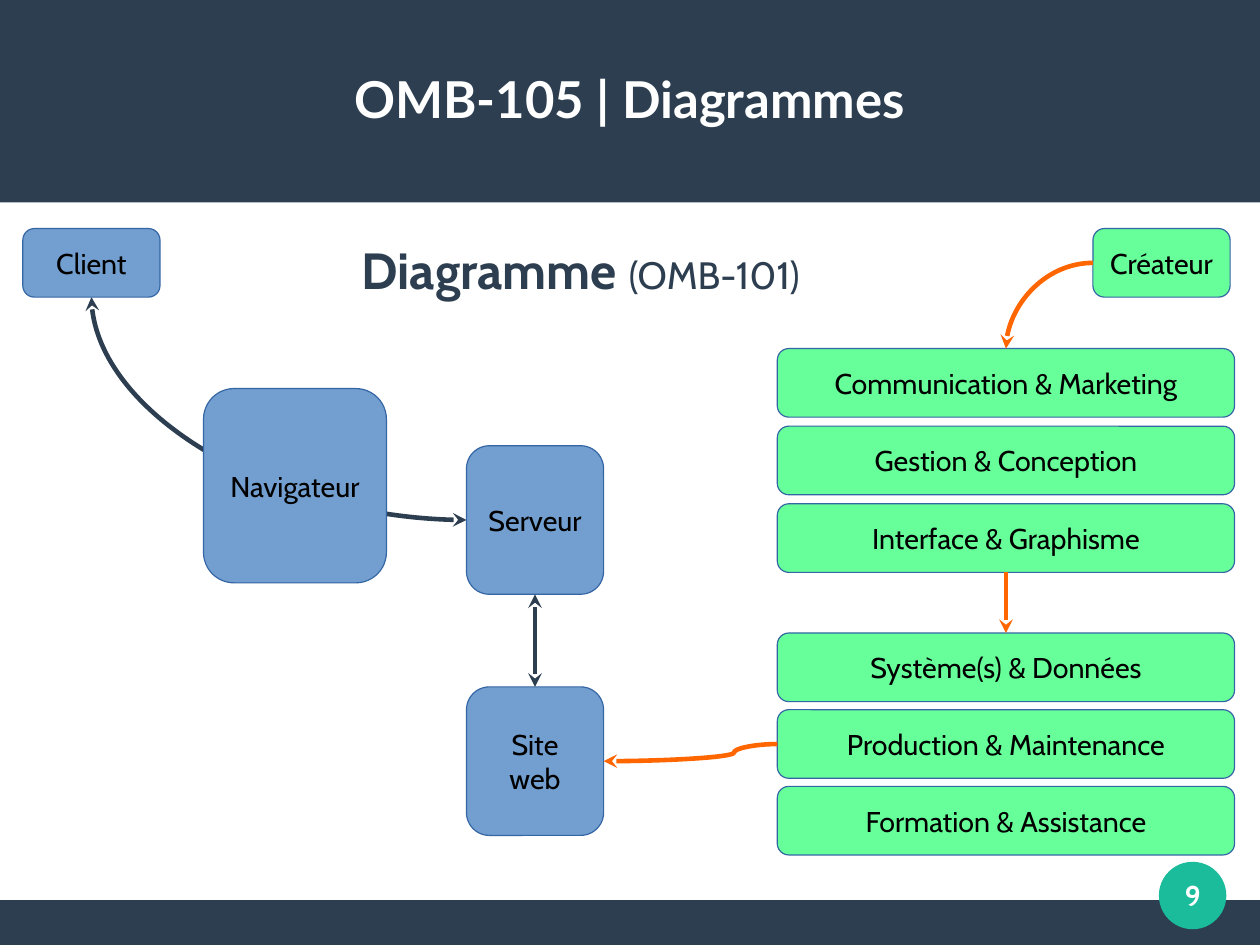
import pptx
import pptx.util
import pptx.dml.color
import pptx.enum.shapes
import pptx.enum.text
import pptx.oxml

Pt = pptx.util.Pt
SHAPES = pptx.enum.shapes.MSO_SHAPE
LINES = pptx.enum.shapes.MSO_CONNECTOR
ALIGN = pptx.enum.text.PP_ALIGN
ANCHOR = pptx.enum.text.MSO_ANCHOR

WIDTH, HEIGHT = 793.6, 595.3
NAVY, TEAL, WHITE, BLACK = "2C3E50", "1ABC9C", "FFFFFF", "000000"
BLUE, GREEN, ORANGE, OUTLINE = "729FCF", "66FF99", "FF6600", "3465A4"

TITLE = "OMB-105 | Diagrammes"
HEADING = [("Diagramme ", 32, True), ("(OMB-101)", 24, False)]
PAGE_NUMBER = "9"

SMALL = (86.4, 43.2)
TALL = (86.4, 93.6)
SERVER_LEFT = 293.8
NODES = [
    (["Client"], 14.4, 144, SMALL, BLUE),
    (["Serveur"], SERVER_LEFT, 280.8, TALL, BLUE),
    (["Navigateur"], 128.2, 244.8, (115.2, 122.4), BLUE),
    (["Site", "web"], SERVER_LEFT, 432.7, TALL, BLUE),
    (["Créateur"], 688.4, 144, SMALL, GREEN),
]
STACK_LEFT, STACK_SIZE = 489.6, (288, 43.2)
STACKS = [
    (219.6, 48.9, ["Communication & Marketing", "Gestion & Conception", "Interface & Graphisme"]),
    (398.8, 48.3, ["Système(s) & Données", "Production & Maintenance", "Formation & Assistance"]),
]

deck = pptx.Presentation()
deck.slide_width, deck.slide_height = Pt(WIDTH), Pt(HEIGHT)
page = deck.slides.add_slide(deck.slide_layouts[6])


def colour(value):
    return pptx.dml.color.RGBColor.from_string(value)


def add_span(para, text, size, ink, bold=False, font="Cabin"):
    span = para.add_run()
    span.text = text
    span.font.name, span.font.size, span.font.bold = font, Pt(size), bold
    span.font.color.rgb = colour(ink)


def add_shape(kind, left, top, width, height, fill, outline=None):
    shape = page.shapes.add_shape(kind, Pt(left), Pt(top), Pt(width), Pt(height))
    shape.shadow.inherit = False
    shape.fill.solid()
    shape.fill.fore_color.rgb = colour(fill)
    if outline:
        shape.line.color.rgb = colour(outline)
        shape.line.width = Pt(0)
    else:
        shape.line.fill.background()
    return shape


def add_text_box(left, top, width, height, spans, ink, font="Cabin", centred=True):
    box = page.shapes.add_textbox(Pt(left), Pt(top), Pt(width), Pt(height))
    frame = box.text_frame
    frame.word_wrap = True
    frame.margin_left = frame.margin_right = frame.margin_top = frame.margin_bottom = 0
    frame.vertical_anchor = ANCHOR.MIDDLE if centred else ANCHOR.TOP
    para = frame.paragraphs[0]
    para.alignment = ALIGN.CENTER if centred else ALIGN.LEFT
    for text, size, bold in spans:
        add_span(para, text, size, ink, bold, font)


def add_node(lines, left, top, size, fill):
    box = add_shape(SHAPES.ROUNDED_RECTANGLE, left, top, *size, fill, OUTLINE)
    box.adjustments[0] = 0.167
    frame = box.text_frame
    frame.word_wrap = False
    frame.vertical_anchor = ANCHOR.MIDDLE
    for index, text in enumerate(lines):
        para = frame.add_paragraph() if index else frame.paragraphs[0]
        para.alignment = ALIGN.CENTER
        add_span(para, text, 18, BLACK)
    return box


def add_arrow(kind, start, end, ink, both=False):
    arrow = page.shapes.add_connector(kind, *map(Pt, start + end))
    arrow.line.color.rgb = colour(ink)
    arrow.line.width = Pt(2.89)
    line = arrow.line._get_or_add_ln()
    for tag in ["headEnd", "tailEnd"] if both else ["tailEnd"]:
        line.append(pptx.oxml.parse_xml(
            f'<a:{tag} xmlns:a="http://schemas.openxmlformats.org/drawingml/2006/main" type="stealth"/>'))
    arrow._element.spPr.append(pptx.oxml.parse_xml(
        '<a:effectLst xmlns:a="http://schemas.openxmlformats.org/drawingml/2006/main"/>'))
    return arrow


def add_quarter_curve(start, end, ink, both=False):
    arrow = add_arrow(LINES.CURVE, start, end, ink, both)
    arrow._element.spPr.prstGeom.set("prst", "curvedConnector2")


def add_s_curve(start, end, ink, bend):
    arrow = add_arrow(LINES.CURVE, start, end, ink)
    guides = arrow._element.spPr.prstGeom.get_or_add_avLst()
    guides.append(pptx.oxml.parse_xml(
        '<a:gd xmlns:a="http://schemas.openxmlformats.org/drawingml/2006/main" '
        f'name="adj1" fmla="val {bend}"/>'))


def add_straight(first, second, ink, both=False):
    centre = (first.left + first.width / 2) / Pt(1)
    start = (centre, (first.top + first.height) / Pt(1))
    arrow = add_arrow(LINES.STRAIGHT, start, (centre, second.top / Pt(1)), ink, both)
    arrow.begin_connect(first, 2)
    arrow.end_connect(second, 0)


add_shape(SHAPES.RECTANGLE, 0, 567, WIDTH, HEIGHT - 567, NAVY)
add_shape(SHAPES.RECTANGLE, 0, 0, WIDTH, 127.5, NAVY)
add_shape(SHAPES.OVAL, 729.9, 542.9, 42.5, 42.5, TEAL)
add_text_box(227.6, 150.5, 320, 50, HEADING, NAVY, centred=False)

add_quarter_curve((SERVER_LEFT, 327.6), (57.6, 187.2), NAVY, both=True)
boxes = {" ".join(node[0]): add_node(*node) for node in NODES}
for top, pitch, labels in STACKS:
    for row, label in enumerate(labels):
        boxes[label] = add_node([label], STACK_LEFT, top + row * pitch, STACK_SIZE, GREEN)

add_straight(boxes["Serveur"], boxes["Site web"], NAVY, both=True)
add_quarter_curve((688.4, 165.6), (633.6, 219.6), ORANGE)
add_straight(boxes["Interface & Graphisme"], boxes["Système(s) & Données"], ORANGE)
add_s_curve((STACK_LEFT, 468.7), (380.2, 479.5), ORANGE, 25000)

add_text_box(28.1, 23.8, 737.3, 75.6, [(TITLE, 32, True)], WHITE, "Lato")
add_text_box(722.9, 535.7, 56.9, 56.9, [(PAGE_NUMBER, 18, True)], WHITE)

deck.save("out.pptx")
